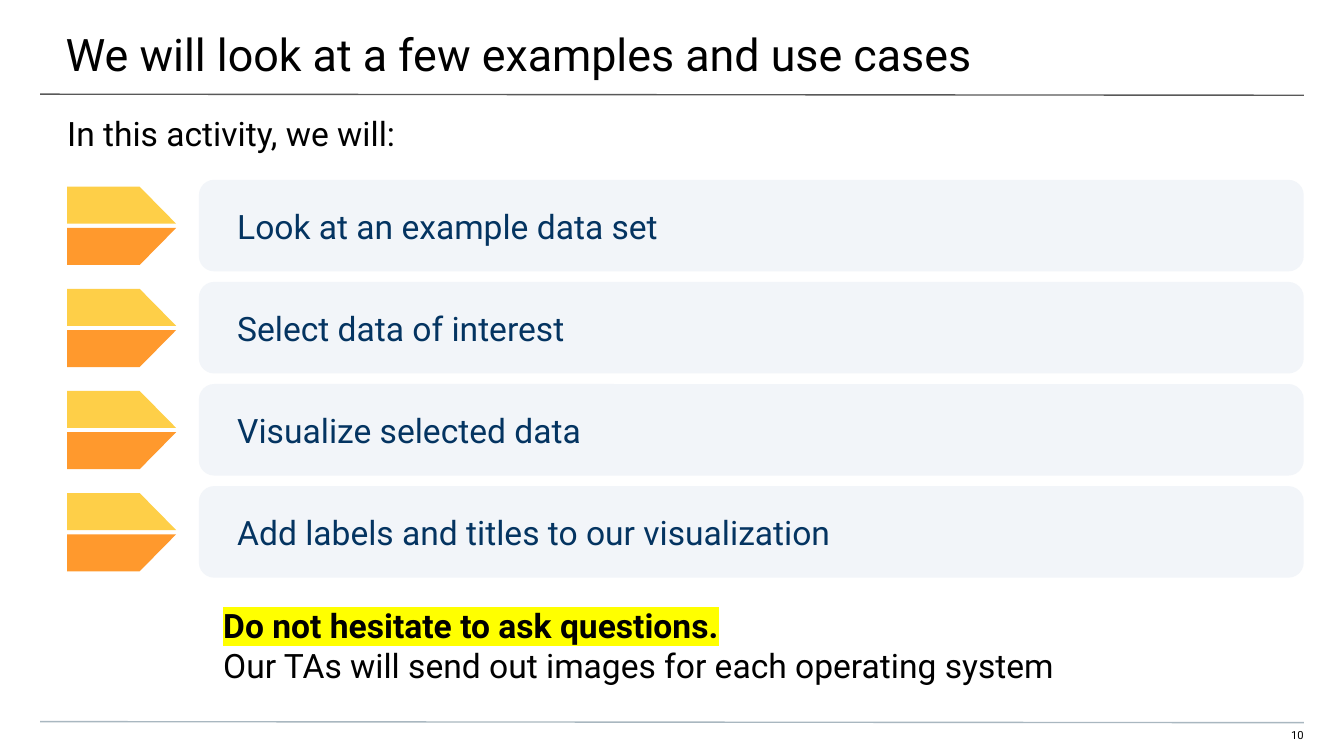
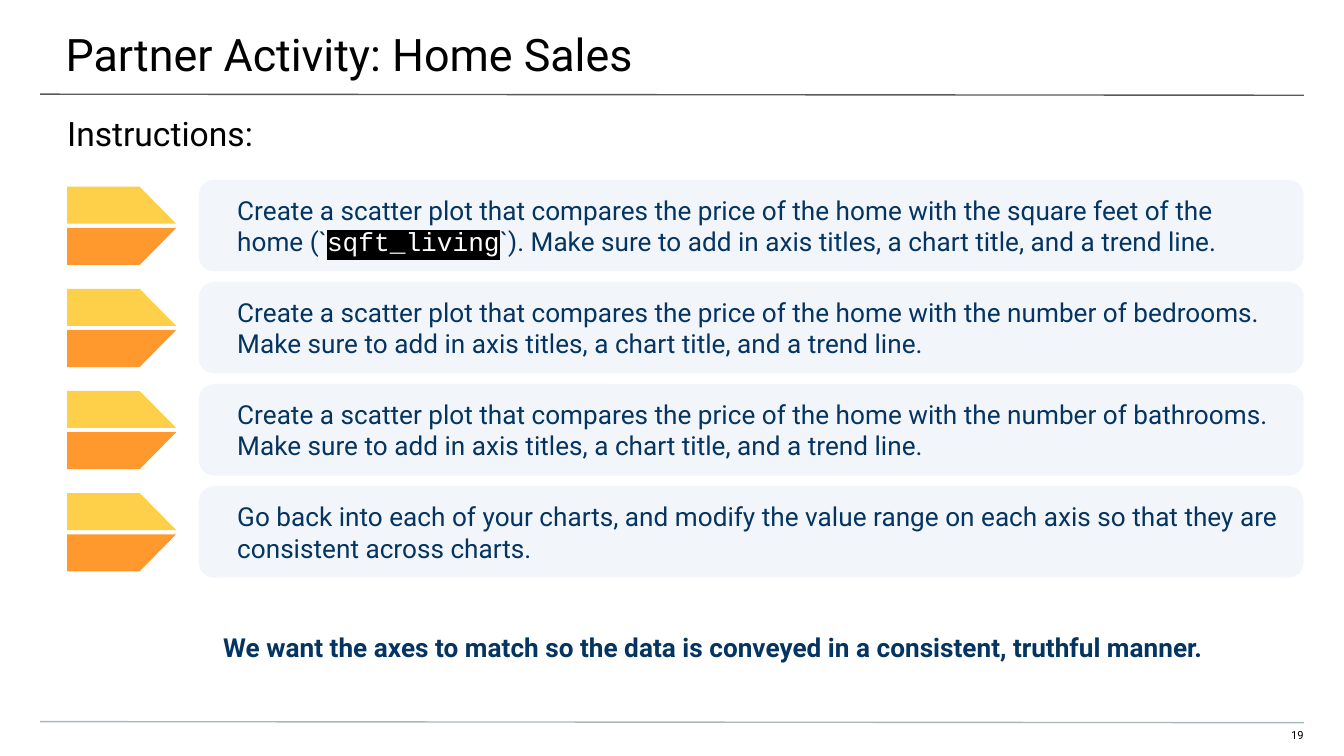
from copy import deepcopy

from lxml import etree
from pptx import Presentation
from pptx.dml.color import RGBColor
from pptx.enum.shapes import MSO_CONNECTOR, MSO_SHAPE
from pptx.enum.text import MSO_ANCHOR, PP_ALIGN
from pptx.oxml.ns import qn
from pptx.util import Cm, Pt

LINE = MSO_CONNECTOR.STRAIGHT
ROUNDED = MSO_SHAPE.ROUNDED_RECTANGLE
TOP, MIDDLE = MSO_ANCHOR.TOP, MSO_ANCHOR.MIDDLE
LEFT, RIGHT = PP_ALIGN.LEFT, PP_ALIGN.RIGHT

BODY_FONT, CODE_FONT = "Roboto", "Courier New"
BLACK, WHITE, NAVY = "000000", "FFFFFF", "043461"
CARD_FILL, YELLOW, ORANGE = "F2F5F9", "FECF48", "FF992D"
TITLE_RULE, FOOTER_RULE, MARKER = "595959", "A9B7C0", "FFFF00"

CODE = {"font": CODE_FONT, "color": WHITE, "highlight": BLACK}

SLIDES = [
    {
        "number": "10",
        "title": "We will look at a few examples and use cases",
        "lead": "In this activity, we will:",
        "card_size": 18,
        "cards": [
            "Look at an example data set",
            "Select data of interest",
            "Visualize selected data",
            "Add labels and titles to our visualization",
        ],
        "note": [
            ("Do not hesitate to ask questions.", {"bold": True, "highlight": MARKER}),
            " \nOur TAs will send out images for each operating system",
        ],
        "note_box": (-0.1, 11.43, 24.74, 2.21),
        "note_format": {"size": 18},
    },
    {
        "number": "19",
        "title": "Partner Activity: Home Sales",
        "lead": "Instructions:",
        "card_size": 14,
        "cards": [
            [
                "Create a scatter plot that compares the price of the home "
                "with the square feet of the \nhome (`",
                ("sqft_living", CODE),
                "`). Make sure to add in axis titles, a chart title, and a trend line.",
            ],
            "Create a scatter plot that compares the price of the home with the number "
            "of bedrooms. Make sure to add in axis titles, a chart title, and a trend line.",
            "Create a scatter plot that compares the price of the home with the number "
            "of bathrooms. Make sure to add in axis titles, a chart title, and a trend line.",
            "Go back into each of your charts, and modify the value range on each axis "
            "so that they are consistent across charts.",
        ],
        "note": "We want the axes to match so the data is conveyed in a consistent, "
                "truthful manner.",
        "note_box": (-0.1, 11.94, 24.74, 1.73),
        "note_format": {"size": 14, "color": NAVY, "bold": True},
    },
]

CARD_LEFT, CARD_TOP, CARD_WIDTH, CARD_HEIGHT = 3.76, 3.4, 20.88, 1.73
ROW_PITCH = 1.93
ARROW_LEFT, ARROW_SHOULDER, ARROW_TIP = 1.27, 2.64, 3.33
ARROW_OFFSET, HALF_HEIGHT, HALF_GAP = 0.13, 0.7, 0.08


def rgb(value):
    return RGBColor.from_string(value)


def add_run(p, text, size, font=BODY_FONT, color=BLACK, bold=False, highlight=None):
    for i, part in enumerate(text.split("\n")):
        if i:
            p.add_line_break()
        r = p.add_run()
        r.text = part
        r.font.size = Pt(size)
        r.font.bold = bold
        r.font.color.rgb = rgb(color)
        properties = r._r.get_or_add_rPr()
        if highlight:
            mark = etree.SubElement(properties, qn("a:highlight"))
            etree.SubElement(mark, qn("a:srgbClr"), val=highlight)
        r.font.name = font
        if i:
            r._r.getprevious().append(deepcopy(properties))


def write(s, text, insets, anchor=TOP, align=LEFT, space_after=0, **style):
    tf = s.text_frame
    tf.word_wrap = True
    tf.vertical_anchor = anchor
    tf.margin_left, tf.margin_top, tf.margin_right, tf.margin_bottom = map(Cm, insets)
    p = tf.paragraphs[0]
    p.alignment = align
    p.space_after = Pt(space_after)
    for piece in [text] if isinstance(text, str) else text:
        content, extra = (piece, {}) if isinstance(piece, str) else piece
        add_run(p, content, **{**style, **extra})


def add_text(sp, box, text, insets, **style):
    write(sp.add_textbox(*map(Cm, box)), text, insets, **style)


def paint(s, color):
    s.shadow.inherit = False
    s.fill.solid()
    s.fill.fore_color.rgb = rgb(color)
    s.line.fill.background()


def add_rule(sp, top, color):
    s = sp.add_connector(LINE, Cm(0.76), Cm(top), Cm(24.64), Cm(top + 0.02))
    s.line.color.rgb = rgb(color)
    s.line.width = Pt(0.75)
    etree.SubElement(s._element.spPr, qn("a:effectLst"))


def add_half_arrow(sp, outer, inner, color):
    points = [(ARROW_LEFT, outer), (ARROW_LEFT, inner),
              (ARROW_TIP, inner), (ARROW_SHOULDER, outer)]
    points = [(Cm(x), Cm(y)) for x, y in points]
    builder = sp.build_freeform(*points[0])
    builder.add_line_segments(points[1:], close=True)
    paint(builder.convert_to_shape(), color)


def add_row(sp, index, text, size):
    top = CARD_TOP + index * ROW_PITCH
    arrow_top = top + ARROW_OFFSET
    lower_top = arrow_top + HALF_HEIGHT + HALF_GAP
    add_half_arrow(sp, arrow_top, arrow_top + HALF_HEIGHT, YELLOW)
    add_half_arrow(sp, lower_top + HALF_HEIGHT, lower_top, ORANGE)
    card = sp.add_shape(ROUNDED, Cm(CARD_LEFT), Cm(top), Cm(CARD_WIDTH), Cm(CARD_HEIGHT))
    card.adjustments[0] = 0.167
    paint(card, CARD_FILL)
    write(card, text, (0.64, 0.25, 0.25, 0.25), anchor=MIDDLE, size=size, color=NAVY)


def add_frame(sp, content):
    add_text(sp, (23.9, 13.77, 0.74, 0.3), content["number"], (0, 0, 0, 0.25),
             align=RIGHT, size=6)
    add_rule(sp, 1.78, TITLE_RULE)
    add_rule(sp, 13.64, FOOTER_RULE)
    add_text(sp, (-0.03, 0, 25.48, 1.47), content["title"], (1.27, 0.51, 0.76, 0.25), size=24)
    add_text(sp, (0, 1.88, 25.4, 1.02), content["lead"], (1.27, 0.25, 1.27, 0), size=18)


def main():
    prs = Presentation()
    prs.slide_width, prs.slide_height = Cm(25.4), Cm(14.29)
    for content in SLIDES:
        sp = prs.slides.add_slide(prs.slide_layouts[6]).shapes
        add_frame(sp, content)
        for index, text in enumerate(content["cards"]):
            add_row(sp, index, text, content["card_size"])
        add_text(sp, content["note_box"], content["note"], (4.32, 0, 1.27, 0),
                 space_after=10, **content["note_format"])
    prs.save("out.pptx")


if __name__ == "__main__":
    main()
